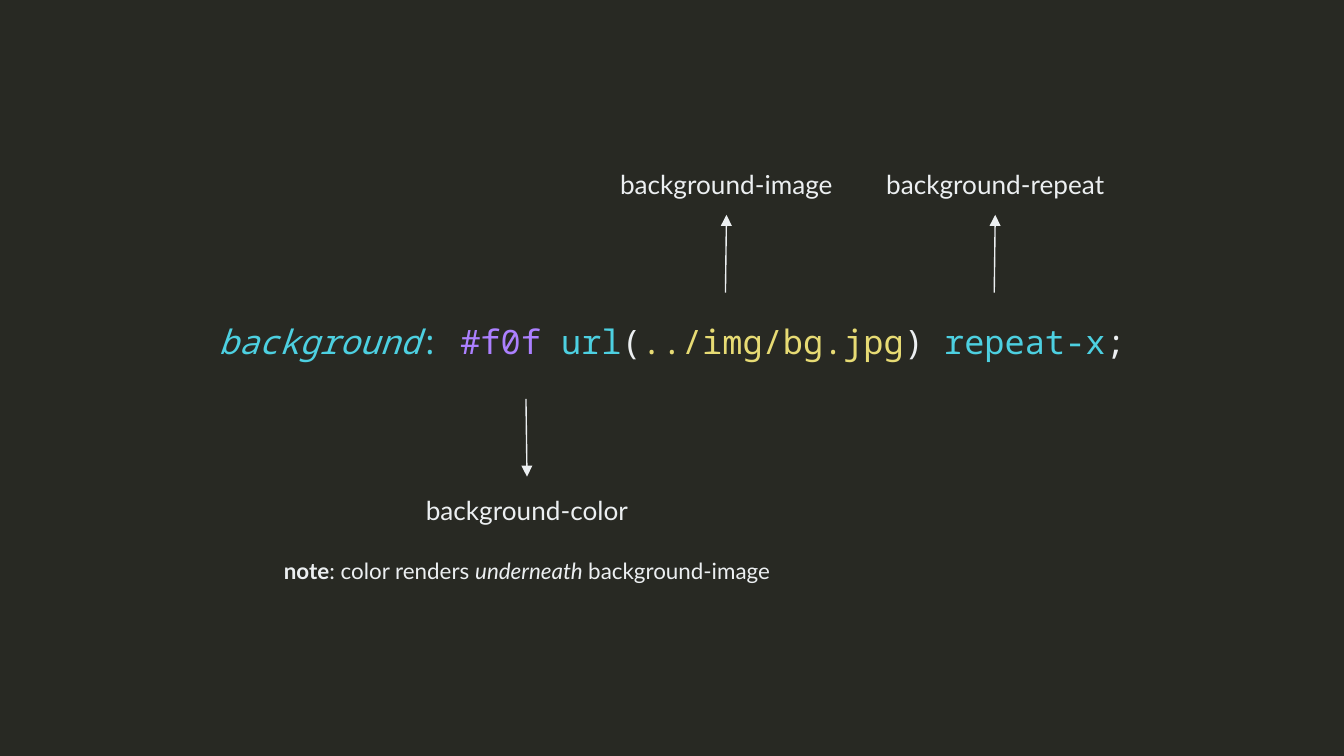
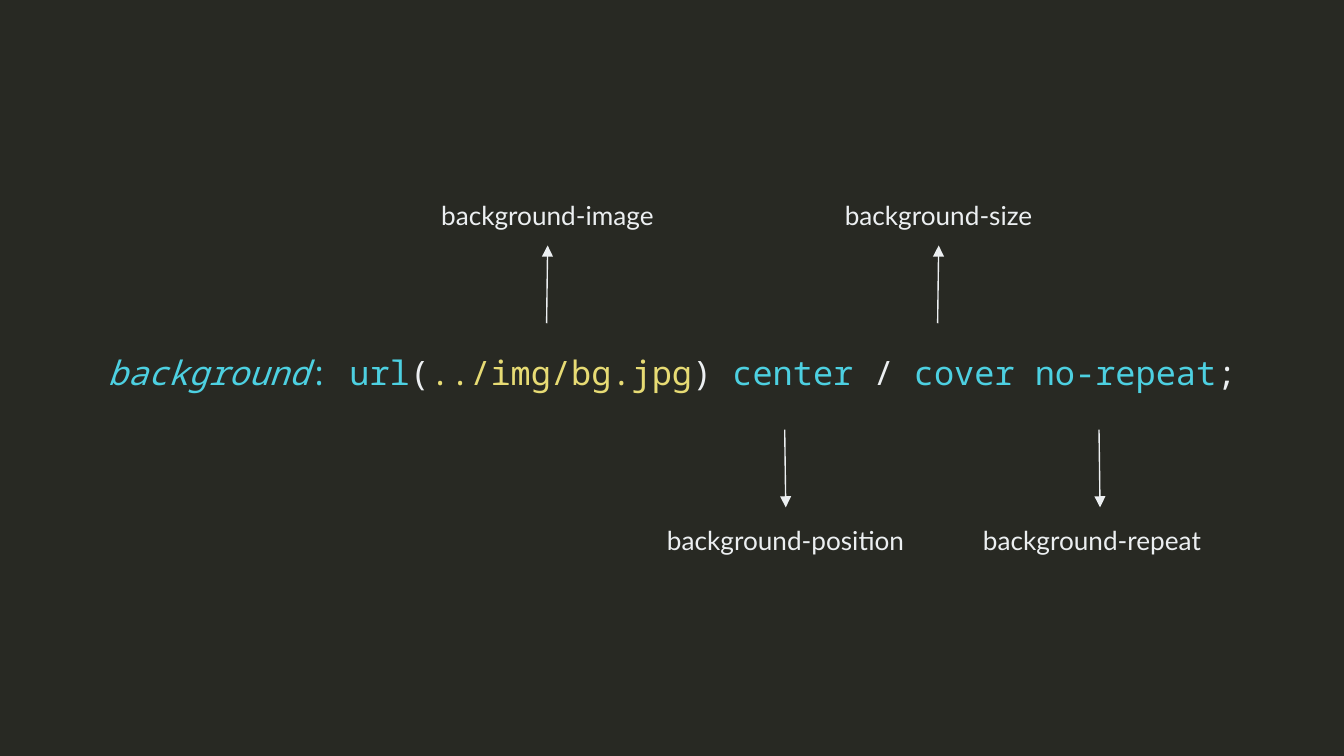
from lxml.etree import SubElement
from pptx import Presentation
from pptx.dml.color import RGBColor
from pptx.enum.shapes import MSO_CONNECTOR
from pptx.enum.text import MSO_AUTO_SIZE, PP_ALIGN
from pptx.oxml.ns import qn
from pptx.util import Cm, Pt

DARK, LIGHT = "282923", "ECEFF1"
CYAN, PURPLE, YELLOW = "4DD0E1", "AC80FF", "E7DB74"
CODE_FONT, LABEL_FONT = "Noto Sans Mono", "Lato"
SLIDE_WIDTH, SLIDE_HEIGHT = 25.4, 14.29
CODE_LEFT, CODE_WIDTH, CODE_HEIGHT = 0.84, 23.72, 1.27
LABEL_WIDTH, LABEL_HEIGHT = 4.95, 1.12
LABEL_ABOVE, LABEL_BELOW = -2.88, 3.27
ARROW_ABOVE, ARROW_BELOW = -0.29, 1.72
ARROW_LENGTH, ARROW_LEAN = 1.47, 0.02


def color(value):
    return RGBColor.from_string(value)


def add_slide(deck):
    slide = deck.slides.add_slide(deck.slide_layouts[6])
    slide.background.fill.solid()
    slide.background.fill.fore_color.rgb = color(DARK)
    return slide


def add_text_box(slide, left, top, width, height):
    box = slide.shapes.add_textbox(Cm(left), Cm(top), Cm(width), Cm(height))
    frame = box.text_frame
    frame.margin_left = frame.margin_right = Cm(0.25)
    frame.margin_top = frame.margin_bottom = Cm(0.25)
    frame.word_wrap = True
    frame.auto_size = MSO_AUTO_SIZE.SHAPE_TO_FIT_TEXT
    return box


def fill_paragraph(para, pieces, font_name, size):
    para.alignment = PP_ALIGN.CENTER
    for text, tint, bold, italic in pieces:
        span = para.add_run()
        span.text = text
        span.font.name = font_name
        span.font.size = Pt(size)
        span.font.color.rgb = color(tint)
        span.font.bold = bold
        span.font.italic = italic


def add_declaration(slide, top, values):
    box = add_text_box(slide, CODE_LEFT, top, CODE_WIDTH, CODE_HEIGHT)
    pieces = [("background", CYAN, False, True), (": ", CYAN, False, False)]
    pieces += [(text, tint, False, False) for text, tint in values]
    fill_paragraph(box.text_frame.paragraphs[0], pieces, CODE_FONT, 18)


def add_arrow(slide, center, start, end):
    arrow = slide.shapes.add_connector(
        MSO_CONNECTOR.STRAIGHT,
        Cm(center - ARROW_LEAN), Cm(start), Cm(center), Cm(end))
    arrow.line.color.rgb = color(LIGHT)
    arrow.line.width = Pt(0.75)
    SubElement(arrow.line._get_or_add_ln(), qn("a:tailEnd"), type="triangle")
    SubElement(arrow._element.spPr, qn("a:effectLst"))
    return arrow


def add_label(slide, text, center, top, width):
    box = add_text_box(slide, center - width / 2, top, width, LABEL_HEIGHT)
    fill_paragraph(box.text_frame.paragraphs[0],
                   [(text, LIGHT, False, False)], LABEL_FONT, 14)
    return box


def add_callout_above(slide, code_top, text, center):
    label = add_label(slide, text, center, code_top + LABEL_ABOVE, LABEL_WIDTH)
    start = code_top + ARROW_ABOVE
    arrow = add_arrow(slide, center, start, start - ARROW_LENGTH)
    arrow.end_connect(label, 2)


def add_callout_below(slide, code_top, text, center, width=LABEL_WIDTH, arrow_shift=0):
    start = code_top + ARROW_BELOW
    add_arrow(slide, center + arrow_shift, start, start + ARROW_LENGTH)
    return add_label(slide, text, center, code_top + LABEL_BELOW, width)


def add_note(label, pieces):
    para = label.text_frame.add_paragraph()
    para.space_before = Pt(17)
    fill_paragraph(para, pieces, LABEL_FONT, 12)
    label.height = Cm(2.24)


def add_color_slide(deck):
    slide, top = add_slide(deck), 5.82
    add_declaration(slide, top, [
        ("#f0f ", PURPLE), ("url", CYAN), ("(", LIGHT), ("../img/bg.jpg", YELLOW),
        (") ", LIGHT), ("repeat-x", CYAN), (";", LIGHT)])
    add_callout_above(slide, top, "background-image", 13.73)
    add_callout_above(slide, top, "background-repeat", 18.81)
    label = add_callout_below(slide, top, "background-color", 9.96, 10.87)
    add_note(label, [
        ("note", LIGHT, True, False), (": color renders ", LIGHT, False, False),
        ("underneath ", LIGHT, False, True), ("background-image", LIGHT, False, False)])


def add_size_slide(deck):
    slide, top = add_slide(deck), 6.4
    add_declaration(slide, top, [
        ("url", CYAN), ("(", LIGHT), ("../img/bg.jpg", YELLOW), (")", LIGHT),
        (" center ", CYAN), ("/", LIGHT), (" cover no-repeat", CYAN), (";", LIGHT)])
    add_callout_above(slide, top, "background-image", 10.35)
    add_callout_above(slide, top, "background-size", 17.74)
    add_callout_below(slide, top, "background-position", 14.85, 5.51)
    add_callout_below(slide, top, "background-repeat", 20.64, arrow_shift=0.15)


def main():
    deck = Presentation()
    deck.slide_width = Cm(SLIDE_WIDTH)
    deck.slide_height = Cm(SLIDE_HEIGHT)
    add_color_slide(deck)
    add_size_slide(deck)
    deck.save("out.pptx")


if __name__ == "__main__":
    main()
